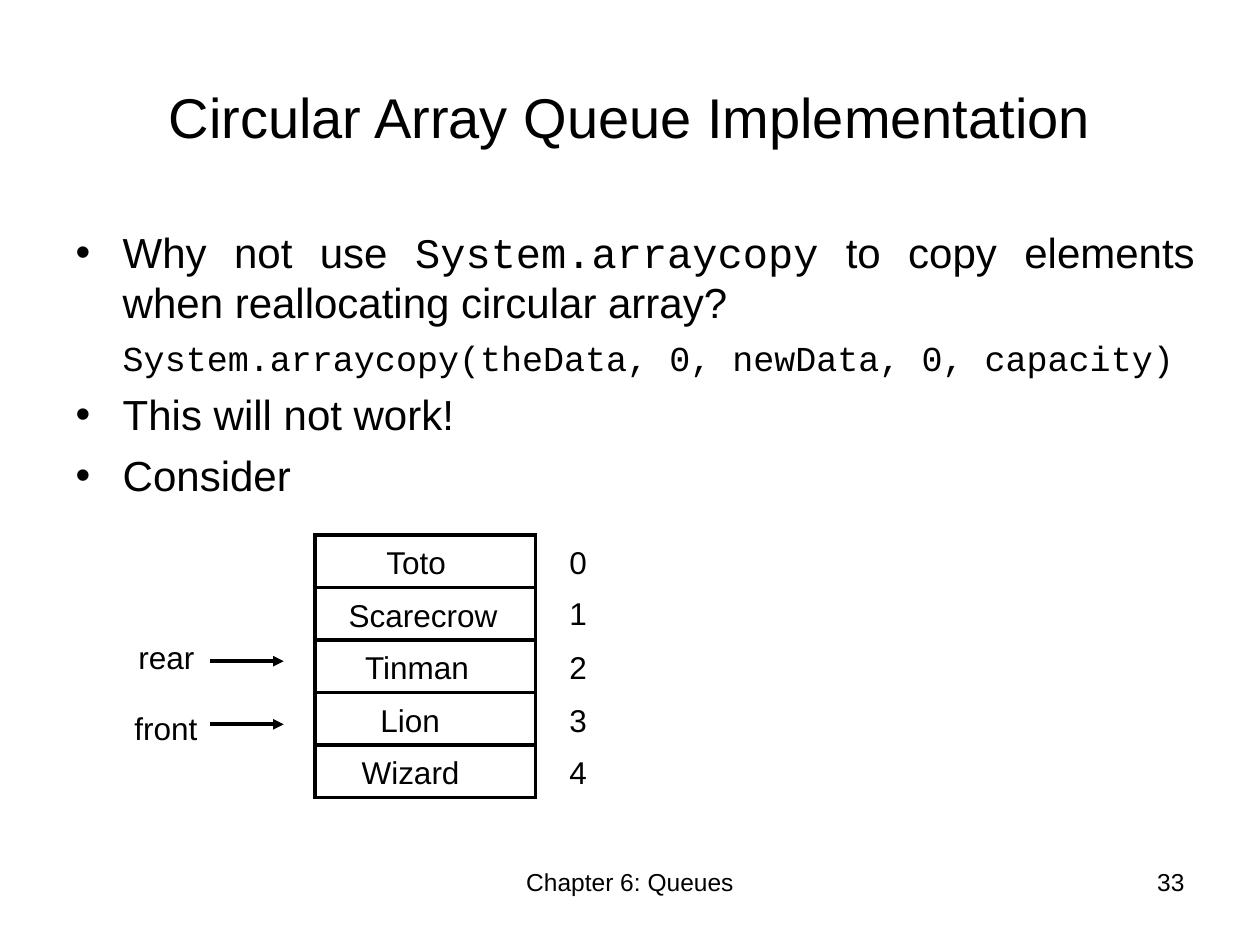
from lxml.etree import SubElement
from pptx import Presentation
from pptx.dml.color import RGBColor
from pptx.enum.shapes import MSO_CONNECTOR, MSO_SHAPE
from pptx.enum.text import MSO_ANCHOR, MSO_AUTO_SIZE, PP_ALIGN
from pptx.oxml.ns import qn
from pptx.util import Cm, Pt

BLACK = RGBColor(0, 0, 0)
SANS = "Arial"
MONO = "Courier New"
LABEL_HEIGHT = 1.02

BULLETS = [
    (0, 24, True, [("Why not use ", SANS), ("System.arraycopy", MONO),
                   (" to copy elements when reallocating circular array?", SANS)]),
    (5, 20, False, [("System.arraycopy(theData, 0, newData, 0, capacity)", MONO)]),
    (6, 24, True, [("This will not work!", SANS)]),
    (6, 24, True, [("Consider", SANS)]),
]
ELEMENTS = [("Toto", 1.19, 1.78), ("Scarecrow", 0.43, 3.51), ("Tinman", 0.76, 2.62),
            ("Lion", 1.07, 1.7), ("Wizard", 0.69, 2.49)]
POINTERS = [("front", 2.46, 1.78, 3.38, 3.81), ("rear", 2.54, 1.63, 1.94, 2.54)]


def set_values(target, values):
    """Set each named attribute of the target."""
    for name, value in values.items():
        setattr(target, name, value)


def place(shape, left, top, width, height):
    """Move and size a shape, in centimetres."""
    set_values(shape, {"left": Cm(left), "top": Cm(top),
                       "width": Cm(width), "height": Cm(height)})


def add_span(para, text, font, size):
    """Append a formatted run to a paragraph."""
    span = para.add_run()
    span.text = text
    set_values(span.font, {"name": font, "size": Pt(size)})
    span.font.color.rgb = BLACK


def add_label(page, text, left, top, width, height=LABEL_HEIGHT,
              size=18, align=PP_ALIGN.LEFT, wrap=False):
    """Add a one-line text box."""
    box = page.shapes.add_textbox(Cm(left), Cm(top), Cm(width), Cm(height))
    fit = MSO_AUTO_SIZE.NONE if wrap else MSO_AUTO_SIZE.SHAPE_TO_FIT_TEXT
    set_values(box.text_frame, {"word_wrap": wrap, "auto_size": fit})
    para = box.text_frame.paragraphs[0]
    para.alignment = align
    add_span(para, text, SANS, size)


def add_title(page, left, top, width, height):
    """Fill the title placeholder."""
    title = page.shapes.title
    place(title, left, top, width, height)
    set_values(title.text_frame, {"vertical_anchor": MSO_ANCHOR.MIDDLE,
                                  "auto_size": MSO_AUTO_SIZE.NONE})
    para = title.text_frame.paragraphs[0]
    para.alignment = PP_ALIGN.CENTER
    add_span(para, "Circular Array Queue Implementation", SANS, 32)


def add_bullets(page, left, top, width, height):
    """Fill the body placeholder with the bullet list."""
    body = page.placeholders[1]
    place(body, left, top, width, height)
    frame = body.text_frame
    frame.auto_size = MSO_AUTO_SIZE.NONE
    for index, (before, size, bulleted, spans) in enumerate(BULLETS):
        para = frame.add_paragraph() if index else frame.paragraphs[0]
        set_values(para, {"alignment": PP_ALIGN.JUSTIFY, "space_before": Pt(before)})
        properties = para._p.get_or_add_pPr()
        properties.set("marL", str(Cm(0.95)))
        properties.set("indent", str(Cm(-0.95) if bulleted else 0))
        if bulleted:
            SubElement(properties, qn("a:buFont"), typeface=SANS)
            SubElement(properties, qn("a:buChar"), char="•")
        else:
            SubElement(properties, qn("a:buNone"))
        for text, font in spans:
            add_span(para, text, font, size)


def add_array(page, left, top, width, height):
    """Draw the array cells with their elements and indexes."""
    row_height = height / len(ELEMENTS)
    for index, (name, offset, name_width) in enumerate(ELEMENTS):
        row_top = top + index * row_height
        cell = page.shapes.add_shape(MSO_SHAPE.RECTANGLE, Cm(left), Cm(row_top),
                                     Cm(width), Cm(row_height))
        cell.shadow.inherit = False
        cell.fill.background()
        cell.line.color.rgb = BLACK
        cell.line.width = Pt(2)
        SubElement(cell.line._get_or_add_ln(), qn("a:miter"), lim="800000")
        add_label(page, name, left + offset, row_top + 0.04, name_width)
        add_label(page, str(index), left + width + 0.43,
                  row_top + (0 if index == 1 else 0.04), 0.86)


def add_pointers(page, left, top, width):
    """Draw the front and rear labels with their arrows."""
    for name, label_left, label_width, label_offset, arrow_offset in POINTERS:
        arrow_top = Cm(top + arrow_offset)
        arrow = page.shapes.add_connector(MSO_CONNECTOR.STRAIGHT, Cm(left), arrow_top,
                                          Cm(left + width), arrow_top)
        arrow.line.color.rgb = BLACK
        arrow.line.width = Pt(2)
        SubElement(arrow.line._get_or_add_ln(), qn("a:tailEnd"), type="triangle")
        SubElement(arrow._element.spPr, qn("a:effectLst"))
        add_label(page, name, label_left, top + label_offset, label_width)


def add_footer(page, top, height):
    """Add the chapter name and the page number."""
    for text, left, width, align in [("Chapter 6: Queues", 8.68, 8.04, PP_ALIGN.CENTER),
                                     ("33", 18.21, 5.92, PP_ALIGN.RIGHT)]:
        add_label(page, text, left, top, width, height, 14, align, True)


def main():
    """Build and save the deck."""
    deck = Presentation()
    set_values(deck, {"slide_width": Cm(25.4), "slide_height": Cm(19.05)})
    page = deck.slides.add_slide(deck.slide_layouts[1])
    add_footer(page, 17.35, 1.32)
    add_title(page, 1.27, 0.76, 22.86, 3.18)
    add_bullets(page, 1.27, 4.44, 23.07, 5.92)
    add_array(page, 6.35, 10.79, 4.45, 5.29)
    add_pointers(page, 4.24, 10.79, 1.48)
    deck.save("out.pptx")


if __name__ == "__main__":
    main()
